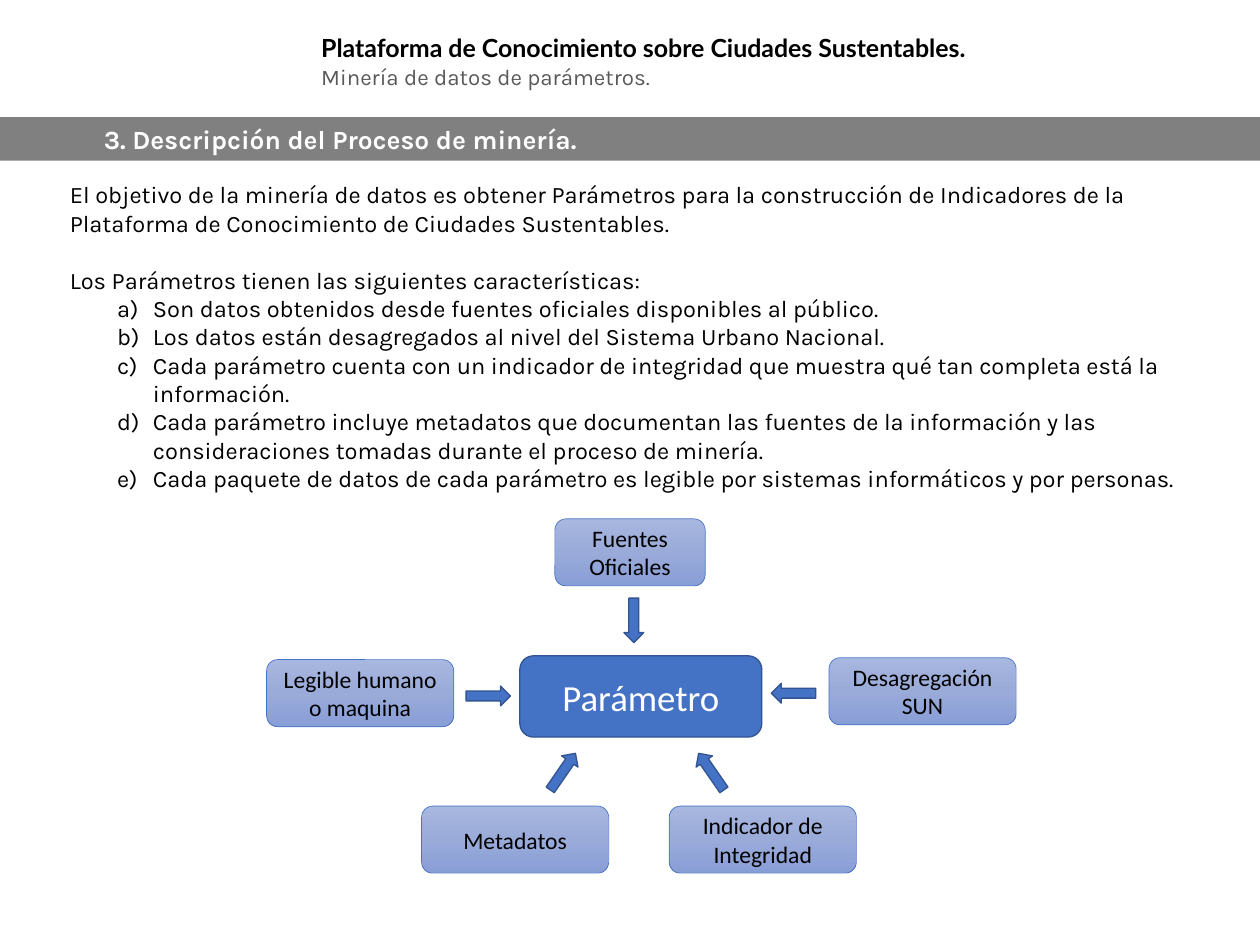
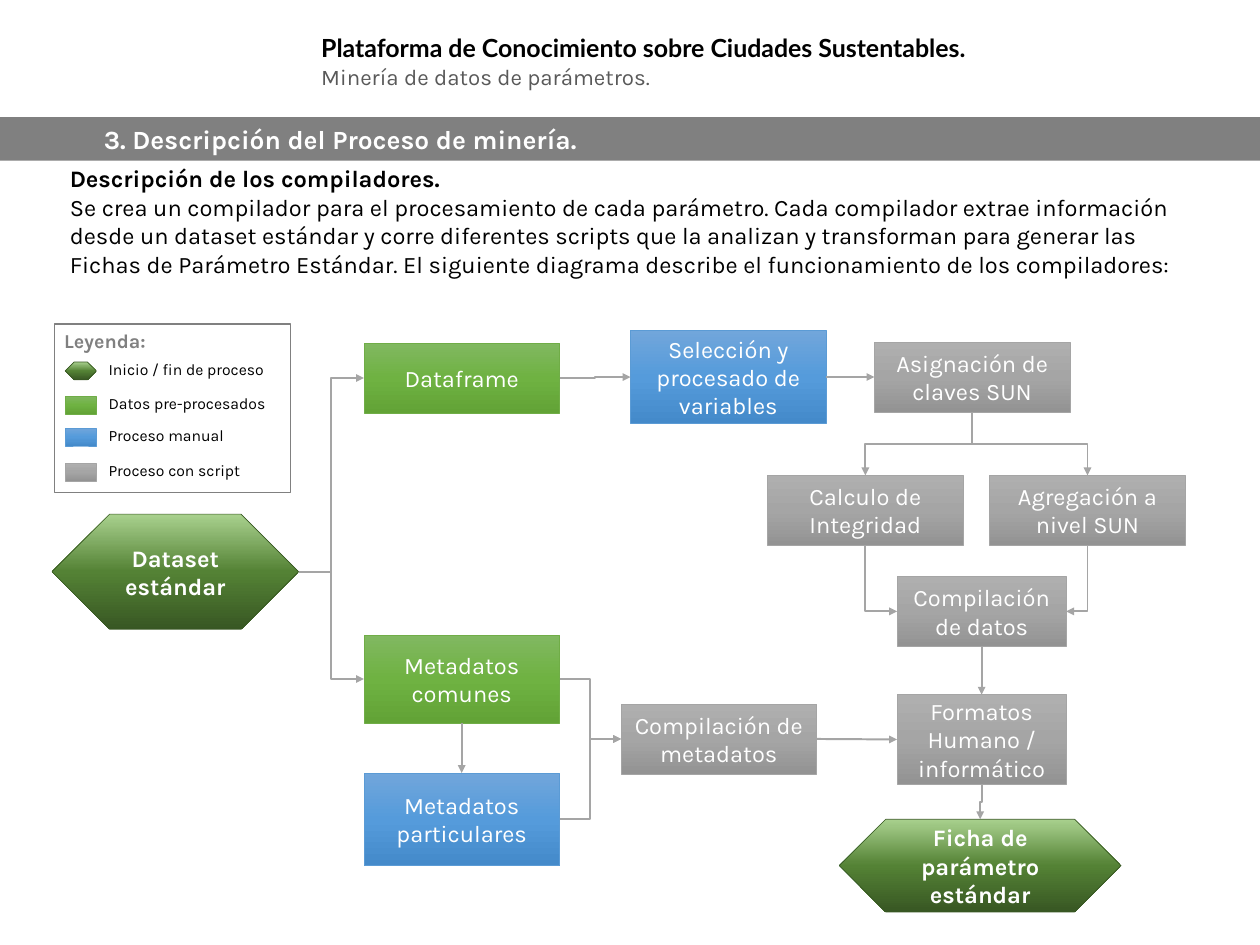
from dataclasses import dataclass
from typing import Any, NamedTuple

from lxml import etree
from pptx import Presentation
from pptx import util as u
from pptx.dml.color import RGBColor
from pptx.enum import shapes, text
from pptx.oxml import ns

# Colours
BLACK = RGBColor(0x00, 0x00, 0x00)
WHITE = RGBColor(0xFF, 0xFF, 0xFF)
DARK_GRAY = RGBColor(0x59, 0x59, 0x59)
BAND_GRAY = RGBColor(0x80, 0x80, 0x80)
LINK_GRAY = RGBColor(0xA5, 0xA5, 0xA5)
BLUE = RGBColor(0x44, 0x72, 0xC4)
BLUE_EDGE = RGBColor(0x32, 0x54, 0x91)
GREEN_EDGE = RGBColor(0x70, 0xAD, 0x47)
SKY_EDGE = RGBColor(0x5B, 0x9B, 0xD5)
DARK_GREEN = RGBColor(0x38, 0x57, 0x23)

RECT = shapes.MSO_SHAPE.RECTANGLE
ROUNDED = shapes.MSO_SHAPE.ROUNDED_RECTANGLE
ARROW = shapes.MSO_SHAPE.RIGHT_ARROW
HEXAGON = shapes.MSO_SHAPE.LEFT_RIGHT_ARROW
LEFT, CENTER = text.PP_ALIGN.LEFT, text.PP_ALIGN.CENTER
TOP, MIDDLE = text.MSO_ANCHOR.TOP, text.MSO_ANCHOR.MIDDLE
WIDTH = 13.33


class Style(NamedTuple):
    """Look of a shape: one colour is a solid fill, three a gradient."""
    fill: tuple[RGBColor, ...]
    edge: RGBColor | None = None
    edge_width: float = 0.5
    kind: Any = RECT
    bold: bool = False


def gradient(*codes: str) -> tuple[RGBColor, ...]:
    return tuple(RGBColor.from_string(code) for code in codes)


BAND = Style((BAND_GRAY,))
CORE = Style((BLUE,), BLUE_EDGE, 1, ROUNDED)
POINTER = Style((BLUE,), BLUE_EDGE, 1, ARROW)
FEATURE = Style(gradient("A8B7DF", "9AABD9", "889ED7"), BLUE, kind=ROUNDED)
TERMINAL = Style(gradient("A9D18E", "548235", "385723"), DARK_GREEN,
                 kind=HEXAGON, bold=True)
DATA = Style(gradient("81B861", "6FB242", "62A336"), GREEN_EDGE)
MANUAL = Style(gradient("71A6DB", "559BDB", "448ACA"), SKY_EDGE)
SCRIPT = Style(gradient("AFAFAF", "A5A5A5", "939393"), LINK_GRAY)
LEGEND = Style((WHITE,), BAND_GRAY, 1)


@dataclass(frozen=True)
class Line:
    """One paragraph."""
    words: str
    size: float = 18
    color: RGBColor = BLACK
    font: str = "Karla"
    bold: bool = False
    align: Any = LEFT
    margin: float = 0
    lettered: bool = False
    space_before: float = 0


@dataclass(frozen=True)
class Box:
    """A labelled shape, in inches."""
    left: float
    top: float
    width: float
    height: float
    style: Style
    words: tuple[str, ...] = ()

    @property
    def right(self) -> float:
        return self.left + self.width

    @property
    def bottom(self) -> float:
        return self.top + self.height

    @property
    def center(self) -> float:
        return self.left + self.width / 2

    @property
    def middle(self) -> float:
        return self.top + self.height / 2


class Link(NamedTuple):
    source: str
    target: str
    route: str  # across, down or corner


# Drawing
def write(shape: Any, lines: list[Line], anchor: Any = TOP, grow: bool = False) -> None:
    frame = shape.text_frame
    frame.word_wrap = True
    frame.vertical_anchor = anchor
    if grow:
        frame.auto_size = text.MSO_AUTO_SIZE.SHAPE_TO_FIT_TEXT
    for index, line in enumerate(lines):
        paragraph = frame.add_paragraph() if index else frame.paragraphs[0]
        paragraph.alignment = line.align
        if line.space_before:
            paragraph.space_before = u.Pt(line.space_before)
        if line.margin:
            properties = paragraph._p.get_or_add_pPr()
            properties.set("marL", str(u.Inches(line.margin)))
            if line.lettered:
                properties.set("indent", str(u.Inches(-0.38)))
                etree.SubElement(properties, ns.qn("a:buAutoNum"), type="alphaLcParenR")
        run = paragraph.add_run()
        run.text = line.words
        run.font.name, run.font.size = line.font, u.Pt(line.size)
        run.font.bold, run.font.color.rgb = line.bold, line.color


def add_text(target: Any, left: float, top: float, width: float, height: float,
             lines: list[Line]) -> None:
    box = target.add_textbox(*map(u.Inches, (left, top, width, height)))
    write(box, lines, grow=True)


def add_box(target: Any, box: Box, rotation: float = 0) -> Any:
    style = box.style
    shape = target.add_shape(
        style.kind, *map(u.Inches, (box.left, box.top, box.width, box.height)))
    shape.shadow.inherit = False
    shape.rotation = rotation
    if style.kind == HEXAGON:
        shape.adjustments[0], shape.adjustments[1] = 1, 0.5
    if len(style.fill) == 1:
        shape.fill.solid()
        shape.fill.fore_color.rgb = style.fill[0]
    else:
        shape.fill.gradient()
        shape.fill.gradient_angle = 270
        stops = shape.element.find(".//" + ns.qn("a:gsLst"))
        stops.clear()
        for position, color in zip((0, 50000, 100000), style.fill):
            stop = etree.SubElement(stops, ns.qn("a:gs"), pos=str(position))
            etree.SubElement(stop, ns.qn("a:srgbClr"), val=str(color))
    if style.edge is None:
        shape.line.fill.background()
    else:
        shape.line.color.rgb = style.edge
        shape.line.width = u.Pt(style.edge_width)
    return shape


def add_line(target: Any, kind: Any, ends: tuple[float, ...], color: RGBColor,
             width: float) -> Any:
    line = target.add_connector(kind, *map(u.Inches, ends))
    line.line.color.rgb = color
    line.line.width = u.Pt(width)
    etree.SubElement(line.element.spPr, ns.qn("a:effectLst"))
    return line


def add_link(target: Any, source: Box, goal: Box, route: str) -> None:
    if route == "across":
        x1, y1, x2, y2 = source.right, source.middle, goal.left, goal.middle
    elif route == "down":
        x1, y1, x2, y2 = source.center, source.bottom, goal.center, goal.top
    else:
        x1, y1, y2 = source.center, source.bottom, goal.middle
        x2 = goal.left if x1 < goal.center else goal.right
    straight = min(abs(x2 - x1), abs(y2 - y1)) < 0.005
    kind = shapes.MSO_CONNECTOR.STRAIGHT if straight else shapes.MSO_CONNECTOR.ELBOW
    turned = route != "across" and not straight
    ends = (x1, y1, x2, y2)
    if turned:  # an elbow that leaves downwards is a sideways one turned 90 degrees
        center, middle = (x1 + x2) / 2, (y1 + y2) / 2
        half_run, half_rise = (y2 - y1) / 2, (x1 - x2) / 2
        ends = (center - half_run, middle - half_rise,
                center + half_run, middle + half_rise)
    line = add_line(target, kind, ends, LINK_GRAY, 1.5)
    if turned:
        line.element.spPr.find(ns.qn("a:xfrm")).set("rot", "5400000")
    if route == "corner":
        line.element.spPr.find(ns.qn("a:prstGeom")).set("prst", "bentConnector2")
    outline = line.line._get_or_add_ln()
    etree.SubElement(outline, ns.qn("a:tailEnd"), type="triangle")


def add_page(presentation: Any) -> Any:
    """A slide with the shared heading and section band."""
    target = presentation.slides.add_slide(presentation.slide_layouts[6]).shapes
    add_text(target, 3.3, 0.3, 9.8, 0.71, [
        Line("Plataforma de Conocimiento sobre Ciudades Sustentables.", 19,
             font="Lato", bold=True),
        Line("Minería de datos de parámetros.", 17, DARK_GRAY)])
    add_line(target, shapes.MSO_CONNECTOR.STRAIGHT, (0, 1.26, WIDTH, 1.26), BAND_GRAY, 3)
    band = add_box(target, Box(0, 1.26, WIDTH, 0.44, BAND))
    write(band, [Line("3. Descripción del Proceso de minería.", 20, WHITE,
                      bold=True, margin=1)], grow=True)
    return target


presentation = Presentation()
presentation.slide_width, presentation.slide_height = u.Inches(WIDTH), u.Inches(10)

# Slide 1: what a parameter is
page = add_page(presentation)
TRAITS = (
    "Son datos obtenidos desde fuentes oficiales disponibles al público.",
    "Los datos están desagregados al nivel del Sistema Urbano Nacional.",
    "Cada parámetro cuenta con un indicador de integridad que muestra qué tan "
    "completa está la información.",
    "Cada parámetro incluye metadatos que documentan las fuentes de la información "
    "y las consideraciones tomadas durante el proceso de minería.",
    "Cada paquete de datos de cada parámetro es legible por sistemas informáticos "
    "y por personas.",
)
add_text(page, 0.64, 1.86, 12.24, 3.43, [
    Line("El objetivo de la minería de datos es obtener Parámetros para la construcción "
         "de Indicadores de la Plataforma de Conocimiento de Ciudades Sustentables."),
    Line("Los Parámetros tienen las siguientes características:", space_before=21.6),
    *(Line(trait, margin=0.88, lettered=True) for trait in TRAITS)])

core = add_box(page, Box(5.5, 6.94, 2.56, 0.86, CORE))
write(core, [Line("Parámetro", 28, WHITE, "Calibri", align=CENTER)], MIDDLE)
for words, left, top, width in (
        ("Fuentes Oficiales", 5.87, 5.49, 1.59),
        ("Desagregación SUN", 8.77, 6.96, 1.98),
        ("Indicador de Integridad", 7.08, 8.53, 1.98),
        ("Metadatos", 4.46, 8.53, 1.98),
        ("Legible humano o maquina", 2.82, 6.98, 1.98)):
    feature = add_box(page, Box(left, top, width, 0.71, FEATURE))
    write(feature, [Line(words, font="Calibri", align=CENTER)], MIDDLE)
for left, top, rotation in ((4.93, 7.26, 0), (8.16, 7.23, 180), (7.29, 8.06, 235.3),
                            (5.72, 8.06, 304.6), (6.47, 6.46, 90)):
    add_box(page, Box(left, top, 0.47, 0.21, POINTER), rotation)

# Slide 2: how the compilers work
page = add_page(presentation)
add_text(page, 0.64, 1.69, 12.24, 1.31, [
    Line("Descripción de los compiladores.", bold=True),
    Line("Se crea un compilador para el procesamiento de cada parámetro. Cada compilador "
         "extrae información desde un dataset estándar y corre diferentes scripts que la "
         "analizan y transforman para generar las Fichas de Parámetro Estándar. El "
         "siguiente diagrama describe el funcionamiento de los compiladores:")])

STEPS = {
    "dataset": Box(0.55, 5.44, 2.61, 1.22, TERMINAL, ("Dataset estándar",)),
    "dataframe": Box(3.85, 3.63, 2.07, 0.74, DATA, ("Dataframe",)),
    "common": Box(3.85, 6.72, 2.07, 0.93, DATA, ("Metadatos comunes",)),
    "selection": Box(6.67, 3.5, 2.07, 0.98, MANUAL, ("Selección y procesado de variables",)),
    "keys": Box(9.25, 3.62, 2.07, 0.74, SCRIPT, ("Asignación de claves SUN",)),
    "integrity": Box(8.12, 5.03, 2.07, 0.74, SCRIPT, ("Calculo de Integridad",)),
    "aggregation": Box(10.47, 5.03, 2.07, 0.74, SCRIPT, ("Agregación a nivel SUN",)),
    "particular": Box(3.85, 8.18, 2.07, 0.98, MANUAL, ("Metadatos particulares",)),
    "metadata": Box(6.57, 7.45, 2.07, 0.74, SCRIPT, ("Compilación de metadatos",)),
    "sheet": Box(8.88, 8.67, 2.98, 0.98, TERMINAL, ("Ficha de parámetro estándar",)),
    "data": Box(9.49, 6.1, 1.79, 0.74, SCRIPT, ("Compilación de datos",)),
    "formats": Box(9.49, 7.35, 1.79, 0.95, SCRIPT, ("Formatos", "Humano / informático")),
}
LINKS = (
    Link("dataset", "dataframe", "across"), Link("dataset", "common", "across"),
    Link("dataframe", "selection", "across"), Link("selection", "keys", "across"),
    Link("keys", "integrity", "down"), Link("keys", "aggregation", "down"),
    Link("common", "particular", "down"), Link("common", "metadata", "across"),
    Link("particular", "metadata", "across"), Link("integrity", "data", "corner"),
    Link("aggregation", "data", "corner"), Link("data", "formats", "down"),
    Link("metadata", "formats", "across"), Link("formats", "sheet", "down"),
)
for step in STEPS.values():
    write(add_box(page, step), [Line(words, color=WHITE, bold=step.style.bold, align=CENTER)
                                for words in step.words], MIDDLE)
for link in LINKS:
    add_link(page, STEPS[link.source], STEPS[link.target], link.route)

# Legend
legend = page.add_group_shape().shapes
panel = add_box(legend, Box(0.58, 3.43, 2.49, 1.78, LEGEND))
write(panel, [Line("Leyenda:", 15, BAND_GRAY, bold=True)])
for style, top, words in ((TERMINAL, 3.83, "Inicio / fin de proceso"),
                          (DATA, 4.19, "Datos pre-procesados"),
                          (MANUAL, 4.53, "Proceso manual"),
                          (SCRIPT, 4.9, "Proceso con script")):
    add_box(legend, Box(0.69, top, 0.33, 0.19, style))
    add_text(legend, 1.05, top - 0.07, 1.93, 0.3, [Line(words, 12)])

presentation.save("out.pptx")
